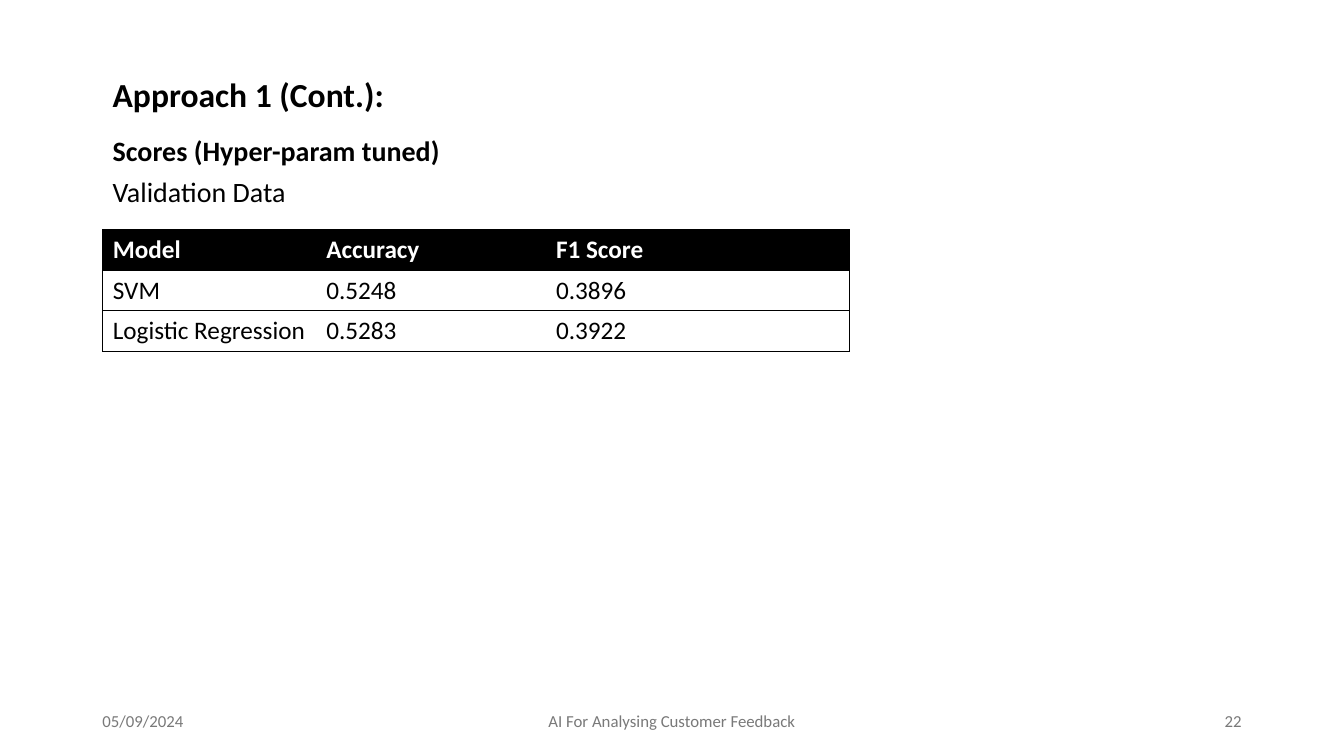
from dataclasses import dataclass

import lxml.etree
import pptx
import pptx.dml.color
import pptx.enum.text
import pptx.oxml.ns
import pptx.util

Cm = pptx.util.Cm
ALIGN = pptx.enum.text.PP_ALIGN
ANCHOR = pptx.enum.text.MSO_ANCHOR


@dataclass(frozen=True)
class Theme:
    font: str = "Calibri"
    ink: str = "000000"
    paper: str = "FFFFFF"
    muted: str = "797979"
    title_size: int = 24
    heading_size: int = 20
    table_size: int = 18
    footer_size: int = 12


THEME = Theme()
SCORES = [
    ("Model", "Accuracy", "F1 Score"),
    ("SVM", "0.5248", "0.3896"),
    ("Logistic Regression", "0.5283", "0.3922"),
]
COLUMN_WIDTHS = (5.38, 5.79, 7.65)
ROW_HEIGHT = 1.02
LEFT = 2.59


def rgb(colour):
    return pptx.dml.color.RGBColor.from_string(colour)


def write(frame, text, size, colour=THEME.ink, bold=False, align=ALIGN.LEFT):
    """Put one formatted line into a text frame."""
    paragraph = frame.paragraphs[0]
    paragraph.alignment = align
    run = paragraph.add_run()
    run.text = text
    run.font.name = THEME.font
    run.font.size = pptx.util.Pt(size)
    run.font.bold = bold
    run.font.color.rgb = rgb(colour)


def add_label(slide, text, left, top, width, height, anchor=ANCHOR.TOP, **text_format):
    box = slide.shapes.add_textbox(Cm(left), Cm(top), Cm(width), Cm(height))
    frame = box.text_frame
    frame.word_wrap = True
    frame.vertical_anchor = anchor
    write(frame, text, **text_format)


def set_borders(cell, visible_sides):
    """Draw the given sides (of L, R, T, B) as thin lines and hide the others."""
    qn = pptx.oxml.ns.qn
    properties = cell._tc.get_or_add_tcPr()
    for position, side in enumerate("LRTB"):
        line = lxml.etree.Element(qn(f"a:ln{side}"), w=str(pptx.util.Pt(1)))
        if side in visible_sides:
            fill = lxml.etree.SubElement(line, qn("a:solidFill"))
            lxml.etree.SubElement(fill, qn("a:srgbClr"), val=THEME.ink)
        else:
            lxml.etree.SubElement(line, qn("a:noFill"))
        properties.insert(position, line)


def add_score_table(slide, left, top):
    table = slide.shapes.add_table(
        len(SCORES), len(COLUMN_WIDTHS), Cm(left), Cm(top),
        Cm(sum(COLUMN_WIDTHS)), Cm(ROW_HEIGHT * len(SCORES)),
    ).table
    table.first_row = table.horz_banding = False
    for column, width in zip(table.columns, COLUMN_WIDTHS):
        column.width = Cm(width)
    last_column = len(COLUMN_WIDTHS) - 1
    for row_index, scores in enumerate(SCORES):
        table.rows[row_index].height = Cm(ROW_HEIGHT)
        is_header = row_index == 0
        for column_index, value in enumerate(scores):
            cell = table.cell(row_index, column_index)
            cell.fill.solid()
            cell.fill.fore_color.rgb = rgb(THEME.ink if is_header else THEME.paper)
            write(cell.text_frame, value, THEME.table_size,
                  colour=THEME.paper if is_header else THEME.ink, bold=is_header)
            sides = "TB"
            if column_index == 0:
                sides += "L"
            if column_index == last_column:
                sides += "R"
            set_borders(cell, sides)


def add_footer(slide):
    for text, left, width, align in (
        ("05/09/2024", 2.33, 7.62, ALIGN.LEFT),
        ("AI For Analysing Customer Feedback", 11.22, 11.43, ALIGN.CENTER),
        ("22", 23.92, 7.62, ALIGN.RIGHT),
    ):
        add_label(slide, text, left, 17.65, width, 1.01, anchor=ANCHOR.MIDDLE,
                  size=THEME.footer_size, colour=THEME.muted, align=align)


def main():
    deck = pptx.Presentation()
    deck.slide_width, deck.slide_height = Cm(33.87), Cm(19.05)
    slide = deck.slides.add_slide(deck.slide_layouts[6])
    add_label(slide, "Approach 1 (Cont.):", LEFT, 1.75, 9.3, 1.28,
              size=THEME.title_size, bold=True)
    add_label(slide, "Scores (Hyper-param tuned)", LEFT, 3.25, 9.3, 1.11,
              size=THEME.heading_size, bold=True)
    add_label(slide, "Validation Data", LEFT, 4.27, 9.3, 1.11,
              size=THEME.heading_size)
    add_score_table(slide, LEFT, 5.79)
    add_footer(slide)
    deck.save("out.pptx")


if __name__ == "__main__":
    main()
